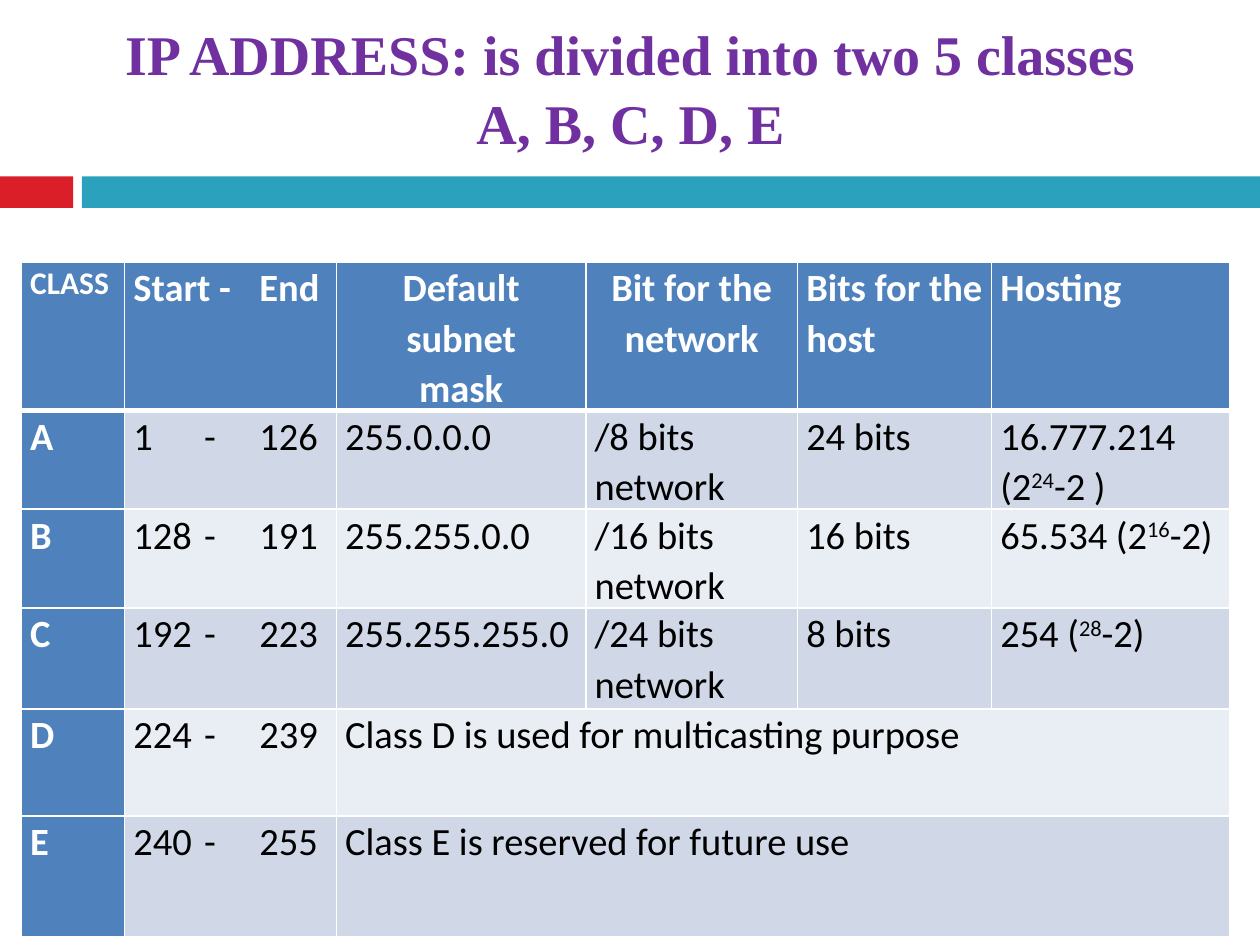
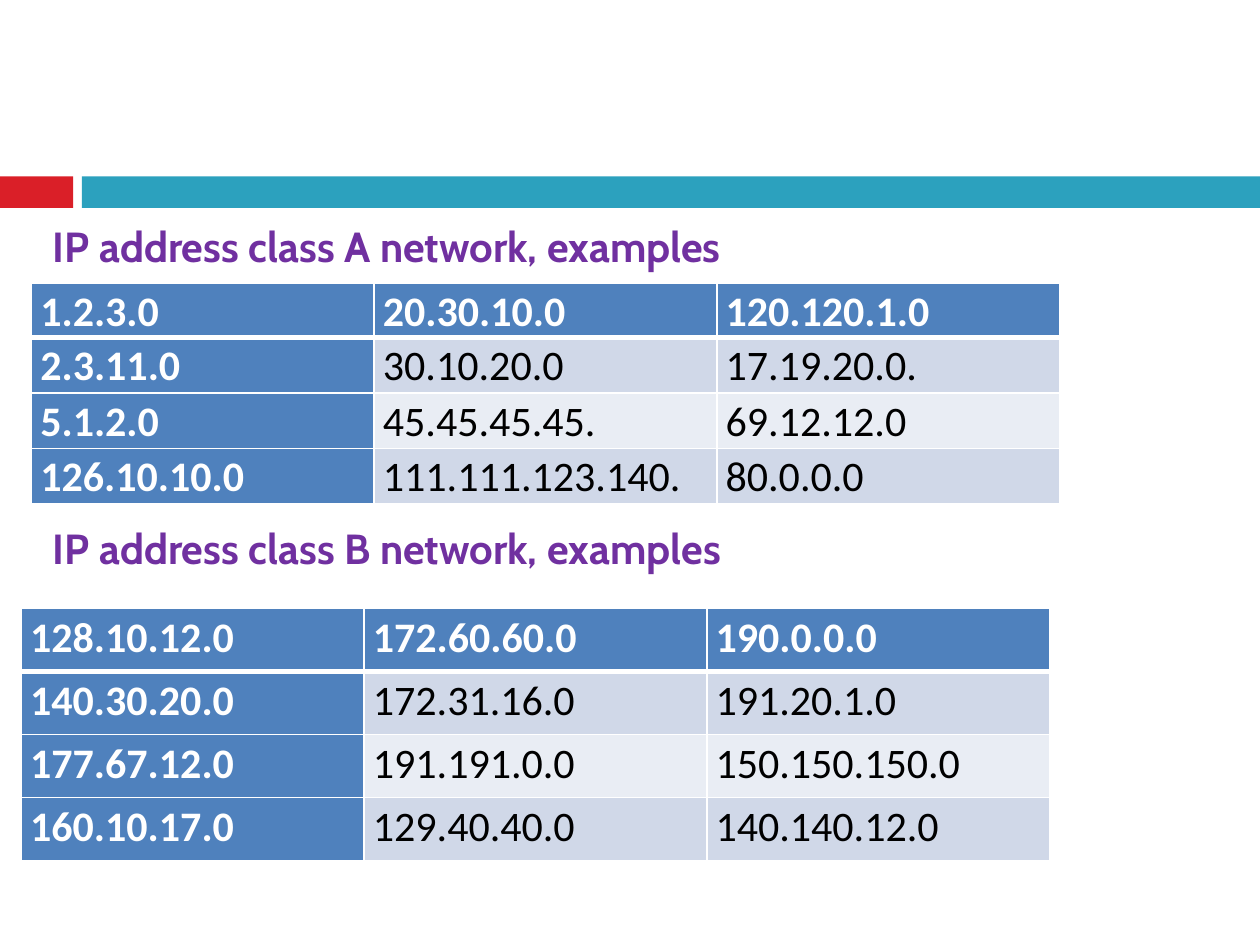
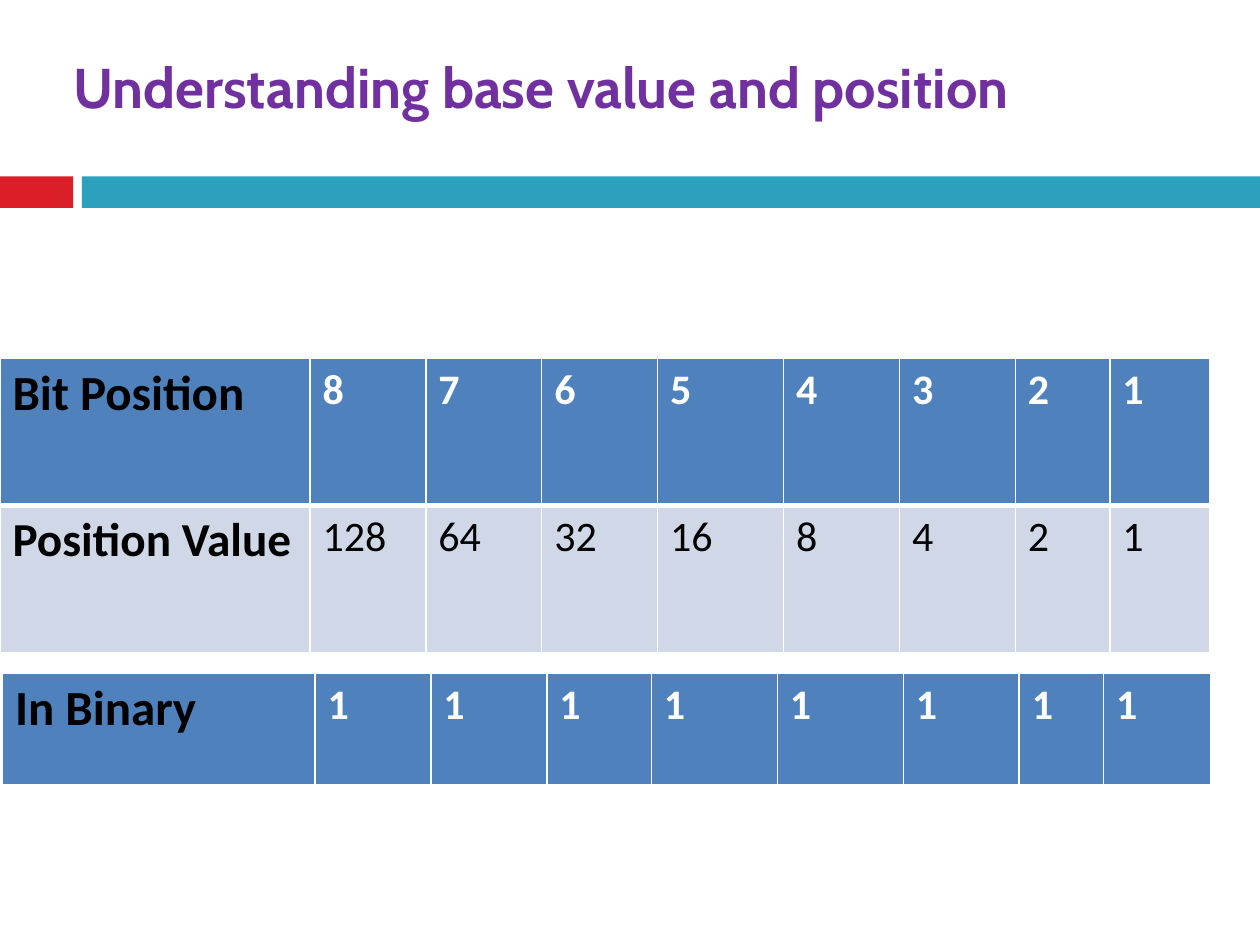
import pptx
import pptx.dml.color
import pptx.enum.shapes
import pptx.enum.text
import pptx.oxml
import pptx.oxml.ns
import pptx.util
from lxml import etree

Inches = pptx.util.Inches
Pt = pptx.util.Pt
CENTER = pptx.enum.text.PP_ALIGN.CENTER

COLORS = {
    "red": "DA1F28",
    "teal": "2CA1BE",
    "purple": "7030A0",
    "header": "4F81BD",
    "odd row": "D0D8E8",
    "even row": "E9EDF4",
    "white": "FFFFFF",
    "black": "000000",
}
RANGE_TABS = (0.56, 1.0)


def color(name):
    return pptx.dml.color.RGBColor.from_string(COLORS[name])


def set_font(paragraph, name, size, tint, bold):
    for span in paragraph.runs:
        span.font.name = name
        span.font.size = Pt(size)
        span.font.bold = bold
        span.font.color.rgb = color(tint)


def add_child(parent, tag, **attributes):
    values = {key: str(value) for key, value in attributes.items()}
    return etree.SubElement(parent, pptx.oxml.ns.qn(tag), values)


def set_borders(cell, top, bottom):
    """Draw white cell borders; top and bottom are widths in points."""
    properties = cell._tc.get_or_add_tcPr()
    for side, width in (("L", 1), ("R", 1), ("T", top), ("B", bottom)):
        line = add_child(properties, f"a:ln{side}", w=Pt(width))
        fill = add_child(line, "a:solidFill")
        add_child(fill, "a:srgbClr", val=COLORS["white"])


def write_marked(paragraph, text):
    """Write text whose parts between ^ signs are superscript."""
    first, *others = text.split("^")
    paragraph.text = first
    for index, part in enumerate(others):
        span = paragraph.add_run()
        span.text = part
        if index % 2 == 0:
            span._r.get_or_add_rPr().set("baseline", "30000")


class Slides:
    def __init__(self):
        self.deck = pptx.Presentation()
        self.deck.slide_width = Inches(10)
        self.deck.slide_height = Inches(7.5)
        self.page = None

    def add_page(self):
        self.page = self.deck.slides.add_slide(self.deck.slide_layouts[6])
        self.band("red", 0, 0.58)
        self.band("teal", 0.65, 9.35)

    def band(self, tint, left, width):
        shape = self.page.shapes.add_shape(
            pptx.enum.shapes.MSO_SHAPE.RECTANGLE,
            Inches(left), Inches(1.4), Inches(width), Inches(0.25))
        shape.shadow.inherit = False
        shape.fill.solid()
        shape.fill.fore_color.rgb = color(tint)
        shape.line.fill.background()

    def heading(self, text, left, top, width, height, size=32, font="Cabin"):
        box = self.page.shapes.add_textbox(
            Inches(left), Inches(top), Inches(width), Inches(height))
        frame = box.text_frame
        frame.word_wrap = True
        frame.margin_left = frame.margin_right = 0
        frame.margin_top = frame.margin_bottom = 0
        frame.text = text
        set_font(frame.paragraphs[0], font, size, "purple", True)
        return frame.paragraphs[0]

    def table(self, rows, left, top, widths, heights,
              size=24, inset=(0.07, 0), spacing=1.07):
        """Add a table; the last cell of a short row spans the rest of it."""
        table = self.page.shapes.add_table(
            len(rows), len(widths), Inches(left), Inches(top),
            Inches(sum(widths)), Inches(sum(heights))).table
        table.first_row = table.horz_banding = False
        for column, width in zip(table.columns, widths):
            column.width = Inches(width)
        for row, height in zip(table.rows, heights):
            row.height = Inches(height)
        for row_index, texts in enumerate(rows):
            if len(texts) < len(widths):
                table.cell(row_index, len(texts) - 1).merge(
                    table.cell(row_index, len(widths) - 1))
            for column_index in range(len(widths)):
                cell = table.cell(row_index, column_index)
                is_header = row_index == 0 or column_index == 0
                set_borders(cell, 3 if row_index == 1 else 1,
                            3 if row_index == 0 else 1)
                cell.fill.solid()
                band = "odd row" if row_index % 2 else "even row"
                cell.fill.fore_color.rgb = color("header" if is_header else band)
                cell.margin_left = cell.margin_right = Inches(inset[0])
                cell.margin_top = cell.margin_bottom = Inches(inset[1])
                if column_index >= len(texts):
                    continue
                paragraph = cell.text_frame.paragraphs[0]
                write_marked(paragraph, texts[column_index])
                if "\t" in texts[column_index]:
                    tabs = add_child(paragraph._p.get_or_add_pPr(), "a:tabLst")
                    for stop in RANGE_TABS:
                        add_child(tabs, "a:tab", pos=Inches(stop), algn="l")
                paragraph.line_spacing = spacing
                set_font(paragraph, "Calibri", size,
                         "white" if is_header else "black", is_header)
        return table


def address_classes(slides):
    slides.add_page()
    title = slides.heading("IP ADDRESS: is divided into two 5 classes A, B, C, D, E",
                           0.76, 0.13, 8.49, 1.2, font="Times New Roman")
    title.alignment = CENTER
    title.line_spacing = 1.04
    rows = [
        ["CLASS", "Start -\tEnd", "Default\vsubnet\vmask", "Bit for the network",
         "Bits for the host", "Hosting"],
        ["A", "1\t-\t126", "255.0.0.0", "/8 bits network", "24 bits",
         "16.777.214 (2^24^-2 )"],
        ["B", "128\t-\t191", "255.255.0.0", "/16 bits network", "16 bits",
         "65.534 (2^16^-2)"],
        ["C", "192\t-\t223", "255.255.255.0", "/24 bits network", "8 bits",
         "254 (^28^-2)"],
        ["D", "224\t-\t239", "Class D is used for multicasting purpose"],
        ["E", "240\t-\t255", "Class E is reserved for future use"],
    ]
    table = slides.table(rows, 0.17, 2.08, [0.82, 1.68, 1.98, 1.68, 1.54, 1.89],
                         [1.16, 0.67, 0.73, 0.8, 0.85, 0.96], size=22)
    set_font(table.cell(0, 0).text_frame.paragraphs[0], "Calibri", 18, "white", True)
    for column in (2, 3):
        table.cell(0, column).text_frame.paragraphs[0].alignment = CENTER


def network_examples(slides):
    slides.add_page()
    class_a = [
        ["1.2.3.0", "20.30.10.0", "120.120.1.0"],
        ["2.3.11.0", "30.10.20.0", "17.19.20.0."],
        ["5.1.2.0", "45.45.45.45.", "69.12.12.0"],
        ["126.10.10.0", "111.111.123.140.", "80.0.0.0"],
    ]
    class_b = [
        ["128.10.12.0", "172.60.60.0", "190.0.0.0"],
        ["140.30.20.0", "172.31.16.0", "191.20.1.0"],
        ["177.67.12.0", "191.191.0.0", "150.150.150.0"],
        ["160.10.17.0", "129.40.40.0", "140.140.12.0"],
    ]
    for letter, heading_top, rows, left, top, heights in (
            ("A", 1.75, class_a, 0.25, 2.25, [0.42] + [0.44] * 3),
            ("B", 4.15, class_b, 0.17, 4.83, [0.5] * 4)):
        slides.heading(f"IP address class {letter} network, examples",
                       0.42, heading_top, 8.96, 0.4, size=24)
        slides.table(rows, left, top, [2.72] * 3, heights)


def base_values(slides):
    slides.add_page()
    slides.heading("Understanding base value and position", 0.58, 0.42, 8.49, 0.8)
    bits = range(8, 0, -1)
    positions = [
        ["Bit Position"] + [str(bit) for bit in bits],
        ["Position Value"] + [str(2 ** (bit - 1)) for bit in bits],
    ]
    layout = {"inset": (0.1, 0.05), "spacing": 1.0}
    values = slides.table(
        positions, 0, 2.84, [2.46, 0.92, 0.92, 0.92, 1, 0.92, 0.92, 0.75, 0.79],
        [1.17] * 2, **layout)
    binary = slides.table(
        [["In Binary"] + ["1"] * 8], 0.02, 5.34,
        [2.48, 0.92, 0.92, 0.83, 1, 1, 0.92, 0.67, 0.85], [0.9], **layout)
    values.cell(1, 0).fill.fore_color.rgb = color("odd row")
    for label, size in ((values.cell(0, 0), 28), (values.cell(1, 0), 27),
                        (binary.cell(0, 0), 28)):
        set_font(label.text_frame.paragraphs[0], "Calibri", size, "black", True)


def main():
    slides = Slides()
    address_classes(slides)
    network_examples(slides)
    base_values(slides)
    slides.deck.save("out.pptx")


if __name__ == "__main__":
    main()
